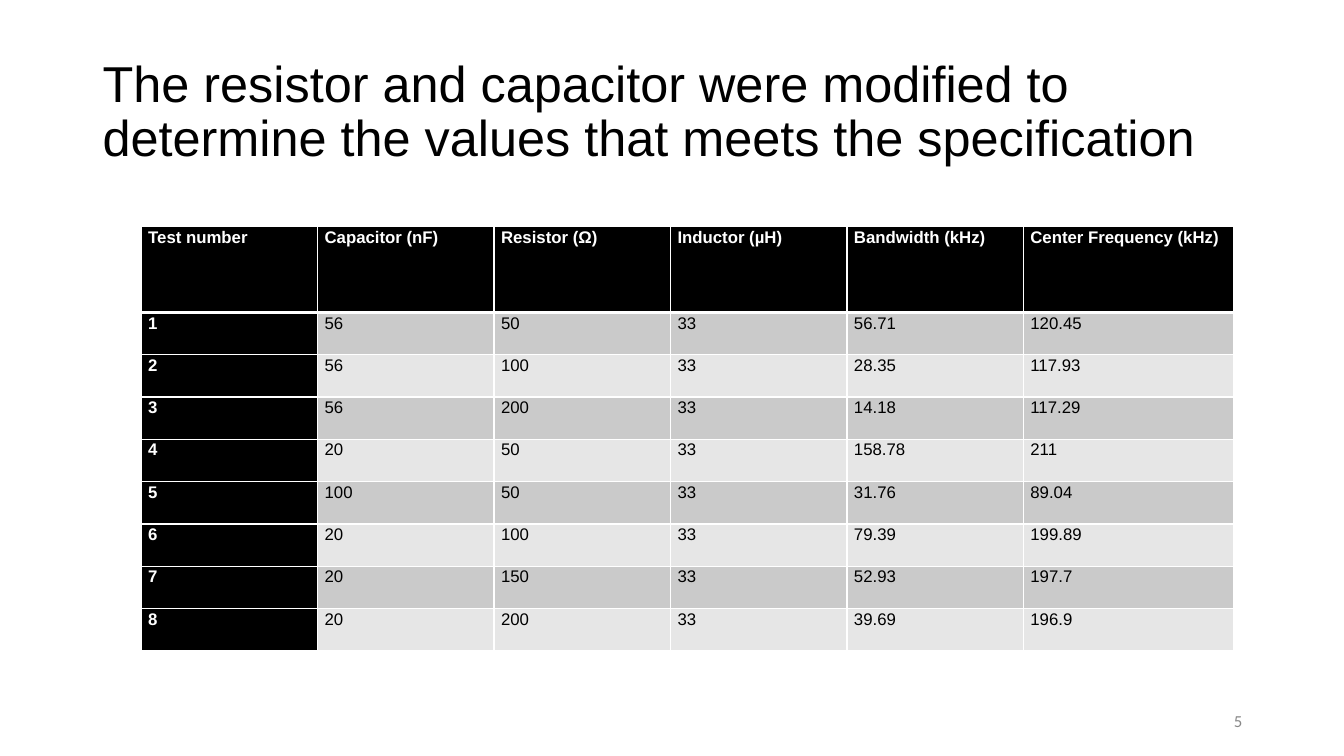
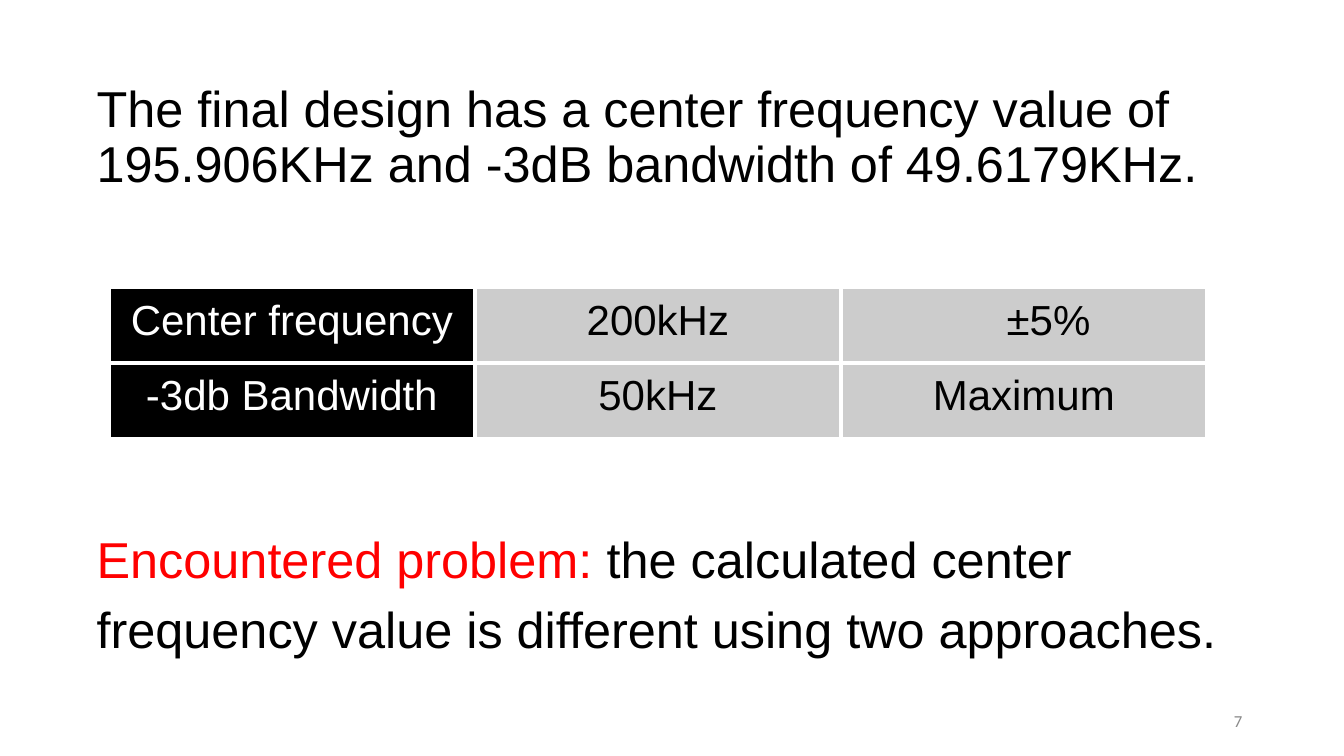
from dataclasses import dataclass

from lxml import etree
from pptx import Presentation
from pptx import util as u
from pptx.dml.color import RGBColor
from pptx.enum import text as t
from pptx.oxml import ns

PX = 9144
BLACK, WHITE, RED = "000000", "FFFFFF", "FF0000"
DARK, LIGHT, MID, GREY = "CACACA", "E6E6E6", "CCCCCC", "888888"


@dataclass(frozen=True)
class Box:
    left: int
    top: int
    width: int
    height: int


@dataclass(frozen=True)
class Run:
    text: str
    color: str = BLACK


@dataclass(frozen=True)
class Pad:
    side: int
    edge: int


@dataclass(frozen=True)
class Look:
    fill: str
    color: str = BLACK
    bold: bool = False
    top: int = 1
    base: int = 1
    side: int = 1
    indent: int = 0


def px(size: int) -> u.Emu:
    return u.Emu(size * PX)


def place(box: Box) -> tuple[u.Emu, ...]:
    return px(box.left), px(box.top), px(box.width), px(box.height)


def paint(fmt, color: str) -> None:
    fmt.solid()
    fmt.fore_color.rgb = RGBColor.from_string(color)


def pad_box(item, pad: Pad) -> None:
    item.margin_left = item.margin_right = px(pad.side)
    item.margin_top = item.margin_bottom = px(pad.edge)


def write(frame, *runs: Run, size: int, font: str = "Arial", bold: bool = False,
          align=t.PP_ALIGN.LEFT, space: float = 1.0, indent: int = 0) -> None:
    para = frame.paragraphs[0]
    para.alignment = align
    para.line_spacing = space
    if indent:
        props = para._p.get_or_add_pPr()
        props.set("marL", str(px(indent)))
        props.set("indent", "0")
    for part in runs:
        run = para.add_run()
        run.text = part.text
        run.font.name = font
        run.font.size = u.Pt(size)
        run.font.bold = bold
        paint(run.font.fill, part.color)


def add_text(slide, box: Box, *runs: Run, anchor=t.MSO_ANCHOR.MIDDLE,
             pad: Pad = Pad(10, 5), **style) -> None:
    frame = slide.shapes.add_textbox(*place(box)).text_frame
    frame.word_wrap = True
    frame.vertical_anchor = anchor
    pad_box(frame, pad)
    write(frame, *runs, **style)


def add_title(slide, box: Box, text: str) -> None:
    add_text(slide, box, Run(text), size=36, space=0.9)


def add_page(slide, page: int) -> None:
    add_text(slide, Box(942, 695, 300, 40), Run(str(page), GREY), size=12,
             font="Calibri", align=t.PP_ALIGN.RIGHT)


def edge_cell(cell, look: Look) -> None:
    props = cell._tc.get_or_add_tcPr()
    sides = (("lnL", look.side), ("lnR", look.side),
             ("lnT", look.top), ("lnB", look.base))
    for spot, (tag, width) in enumerate(sides):
        line = etree.Element(ns.qn(f"a:{tag}"), w=str(u.Pt(width)))
        fill = etree.SubElement(line, ns.qn("a:solidFill"))
        etree.SubElement(fill, ns.qn("a:srgbClr"), val=WHITE)
        props.insert(spot, line)


def add_grid(slide, box: Box, cols: list[int], rows: list[int],
             data: list[list[str]], style, pad: Pad, **form) -> None:
    table = slide.shapes.add_table(len(rows), len(cols), *place(box)).table
    table.first_row = table.horz_banding = False
    for col, width in zip(table.columns, cols):
        col.width = px(width)
    for row, height in zip(table.rows, rows):
        row.height = px(height)
    for r, line in enumerate(data):
        for c, text in enumerate(line):
            cell, look = table.cell(r, c), style(r, c)
            pad_box(cell, pad)
            paint(cell.fill, look.fill)
            edge_cell(cell, look)
            write(cell.text_frame, Run(text, look.color), bold=look.bold,
                  indent=look.indent, **form)


def test_look(r: int, c: int) -> Look:
    top, base = (3 if r == 1 else 1), (3 if r == 0 else 1)
    if r == 0 or c == 0:
        return Look(BLACK, WHITE, True, top, base)
    return Look(DARK if r % 2 else LIGHT, top=top, base=base)


def goal_look(r: int, c: int) -> Look:
    fill, color = (MID, BLACK) if c else (BLACK, WHITE)
    indent = 49 if (r, c) == (0, 2) else 0
    return Look(fill, color, False, 3, 3, 3, indent)


HEAD = ["Test number", "Capacitor (nF)", "Resistor (Ω)", "Inductor (µH)",
        "Bandwidth (kHz)", "Center Frequency (kHz)"]
TESTS = [
    ("56", "50", "56.71", "120.45"),
    ("56", "100", "28.35", "117.93"),
    ("56", "200", "14.18", "117.29"),
    ("20", "50", "158.78", "211"),
    ("100", "50", "31.76", "89.04"),
    ("20", "100", "79.39", "199.89"),
    ("20", "150", "52.93", "197.7"),
    ("20", "200", "39.69", "196.9"),
]
GOALS = [["Center frequency", "200kHz", "±5%"],
         ["-3db Bandwidth", "50kHz", "Maximum"]]


def draw_tests(slide) -> None:
    add_title(slide, Box(92, 40, 1150, 145),
              "The resistor and capacitor were modified to determine "
              "the values that meets the specification")
    data = [HEAD] + [[str(n), cap, res, "33", band, freq]
                     for n, (cap, res, band, freq) in enumerate(TESTS, 1)]
    add_grid(slide, Box(140, 225, 1084, 419), [175] * 5 + [209],
             [85] + [42] * len(TESTS), data, test_look, Pad(7, 0),
             size=12, space=1.07)
    add_page(slide, 5)


def draw_final(slide) -> None:
    add_title(slide, Box(86, 38, 1240, 199),
              "The final design has a center frequency value of 195.906KHz "
              "and -3dB bandwidth of 49.6179KHz.")
    add_grid(slide, Box(108, 285, 1089, 150), [363] * 3, [75] * 2, GOALS,
             goal_look, Pad(10, 10), size=30, align=t.PP_ALIGN.CENTER)
    add_text(slide, Box(86, 505, 1162, 150), Run("Encountered problem: ", RED),
             Run("the calculated center frequency value is different "
                 "using two approaches."),
             anchor=t.MSO_ANCHOR.TOP, pad=Pad(10, 10), size=36, space=1.15)
    add_page(slide, 7)


def main() -> None:
    deck = Presentation()
    deck.slide_width, deck.slide_height = px(1333), px(750)
    for draw in (draw_tests, draw_final):
        draw(deck.slides.add_slide(deck.slide_layouts[6]))
    deck.save("out.pptx")


if __name__ == "__main__":
    main()
